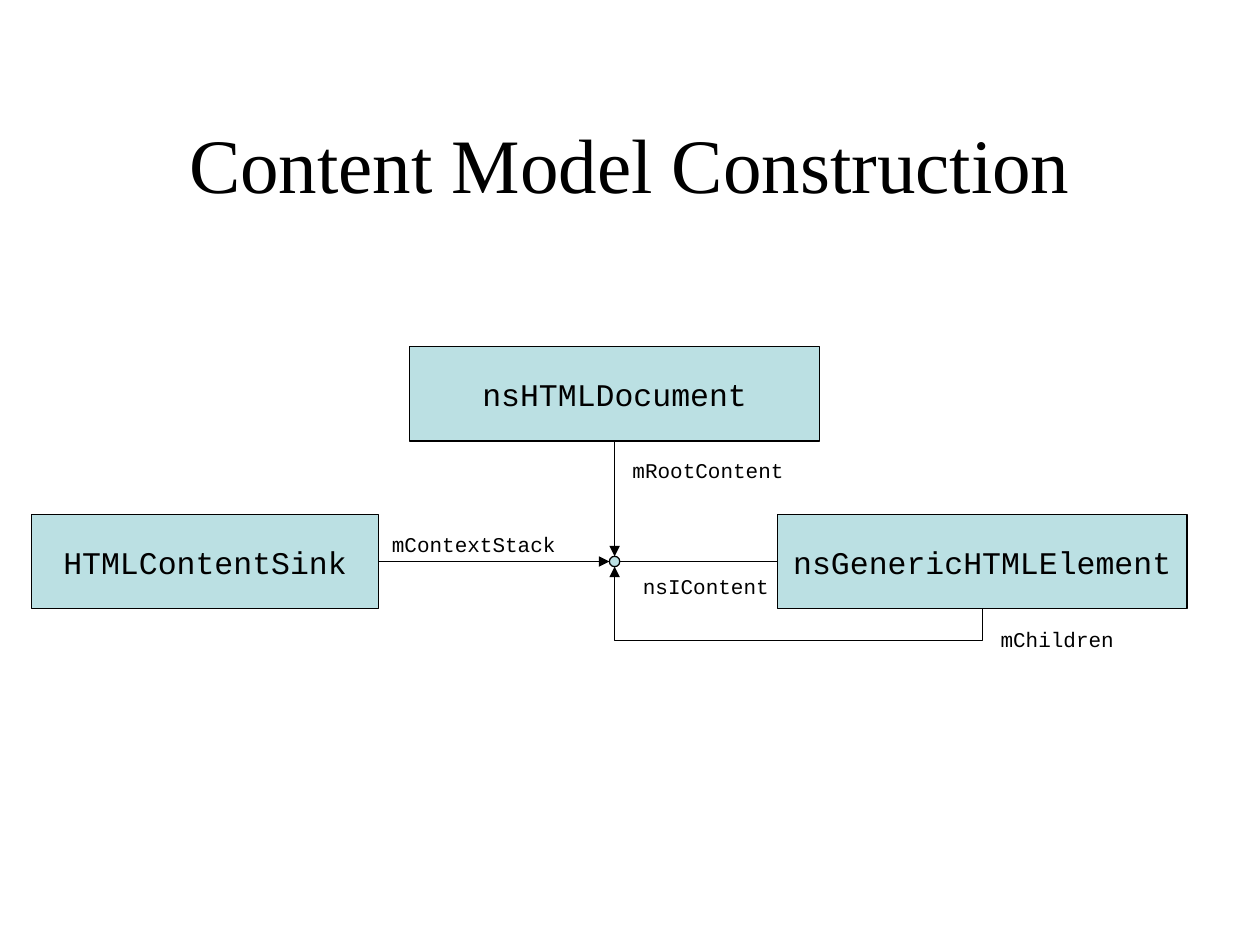
import lxml.etree
import pptx
import pptx.dml.color
import pptx.enum.shapes
import pptx.enum.text
import pptx.oxml.ns
import pptx.util

Cm = pptx.util.Cm
Pt = pptx.util.Pt
qn = pptx.oxml.ns.qn
SHAPE = pptx.enum.shapes.MSO_SHAPE
LINK = pptx.enum.shapes.MSO_CONNECTOR
ALIGN = pptx.enum.text.PP_ALIGN
ANCHOR = pptx.enum.text.MSO_ANCHOR
FIT = pptx.enum.text.MSO_AUTO_SIZE

COLORS = {"ink": "000000", "box": "BBE0E3", "page": "FFFFFF"}
SERIF, MONO = "Times New Roman", "Courier New"


def color(name):
    return pptx.dml.color.RGBColor.from_string(COLORS[name])


def write(frame, text, size, font, align):
    para = frame.paragraphs[0]
    para.alignment = align
    run = para.add_run()
    run.text = text
    run.font.size = Pt(size)
    run.font.name = font
    run.font.color.rgb = color("ink")


def add_title(slide, left, top, width, height):
    title = slide.shapes.title
    title.left, title.top = Cm(left), Cm(top)
    title.width, title.height = Cm(width), Cm(height)
    title.text_frame.vertical_anchor = ANCHOR.MIDDLE
    write(title.text_frame, "Content Model Construction", 44, SERIF, ALIGN.CENTER)


def add_node(slide, kind, left, top, width, height, text=None):
    node = slide.shapes.add_shape(kind, Cm(left), Cm(top), Cm(width), Cm(height))
    node.shadow.inherit = False
    node.fill.solid()
    node.fill.fore_color.rgb = color("box")
    node.line.color.rgb = color("ink")
    node.line.width = Pt(0.75)
    if text:
        frame = node.text_frame
        frame.word_wrap = False
        frame.vertical_anchor = ANCHOR.MIDDLE
        write(frame, text, 18, MONO, ALIGN.CENTER)


def add_label(slide, left, top, width, text):
    label = slide.shapes.add_textbox(Cm(left), Cm(top), Cm(width), Cm(0.76))
    frame = label.text_frame
    frame.word_wrap = False
    frame.auto_size = FIT.SHAPE_TO_FIT_TEXT
    write(frame, text, 12, MONO, ALIGN.LEFT)


def add_link(slide, start, end, arrow=True, kind=LINK.STRAIGHT):
    link = slide.shapes.add_connector(kind, *map(Cm, start + end))
    link.line.color.rgb = color("ink")
    link.line.width = Pt(0.75)
    props = link.element.spPr
    lxml.etree.SubElement(props, qn("a:effectLst"))
    if arrow:
        lxml.etree.SubElement(props.find(qn("a:ln")), qn("a:tailEnd"), type="triangle")
    return link


def add_loop(slide, start, end, drop):
    """Elbow that leaves start downwards by drop and comes up into end."""
    mid_x, mid_y = (start[0] + end[0]) / 2, (start[1] + end[1]) / 2
    rise, run = start[1] - end[1], start[0] - end[0]
    # An elbow leaves sideways, so lay it out upright and turn it by 270 degrees.
    link = add_link(slide, (mid_x - rise / 2, mid_y + run / 2),
                    (mid_x + rise / 2, mid_y - run / 2), kind=LINK.ELBOW)
    props = link.element.spPr
    props.find(qn("a:xfrm")).set("rot", str(270 * 60000))
    guides = props.find(qn("a:prstGeom")).find(qn("a:avLst"))
    lxml.etree.SubElement(guides, qn("a:gd"), name="adj1",
                          fmla=f"val {round(-drop / rise * 100000)}")


def add_model(slide, left, top):
    """Three class boxes whose links meet in one hub."""
    wide, slim, high, dot = 8.26, 6.99, 1.9, 0.21
    row = top + 3.38
    doc, item = left + 7.62, left + 15.03
    hub_x, hub_y = doc + wide / 2, row + high / 2
    rim = dot / 2

    add_node(slide, SHAPE.FLOWCHART_PROCESS, item, row, wide, high, "nsGenericHTMLElement")
    add_node(slide, SHAPE.FLOWCHART_PROCESS, doc, top, wide, high, "nsHTMLDocument")
    add_node(slide, SHAPE.FLOWCHART_PROCESS, left, row, slim, high, "HTMLContentSink")
    add_node(slide, SHAPE.FLOWCHART_CONNECTOR, hub_x - rim, hub_y - rim, dot, dot)

    add_link(slide, (hub_x + rim, hub_y), (item, hub_y), arrow=False)
    add_link(slide, (hub_x, top + high), (hub_x, hub_y - rim))
    add_link(slide, (left + slim, hub_y), (hub_x - rim, hub_y))
    add_loop(slide, (item + wide / 2, row + high), (hub_x, hub_y + rim), 0.64)

    for x, y, width, text in (
        (12.07, 4.45, 3.05, "nsIContent"),
        (19.28, 5.51, 2.79, "mChildren"),
        (11.86, 2.11, 3.56, "mRootContent"),
        (7.01, 3.61, 3.81, "mContextStack"),
    ):
        add_label(slide, left + x, top + y, width, text)


def main():
    deck = pptx.Presentation()
    deck.slide_width, deck.slide_height = Cm(25.4), Cm(19.05)
    slide = deck.slides.add_slide(deck.slide_layouts[5])
    slide.background.fill.solid()
    slide.background.fill.fore_color.rgb = color("page")
    add_title(slide, 1.9, 1.69, 21.6, 3.18)
    add_model(slide, 0.64, 6.99)
    deck.save("out.pptx")


if __name__ == "__main__":
    main()
